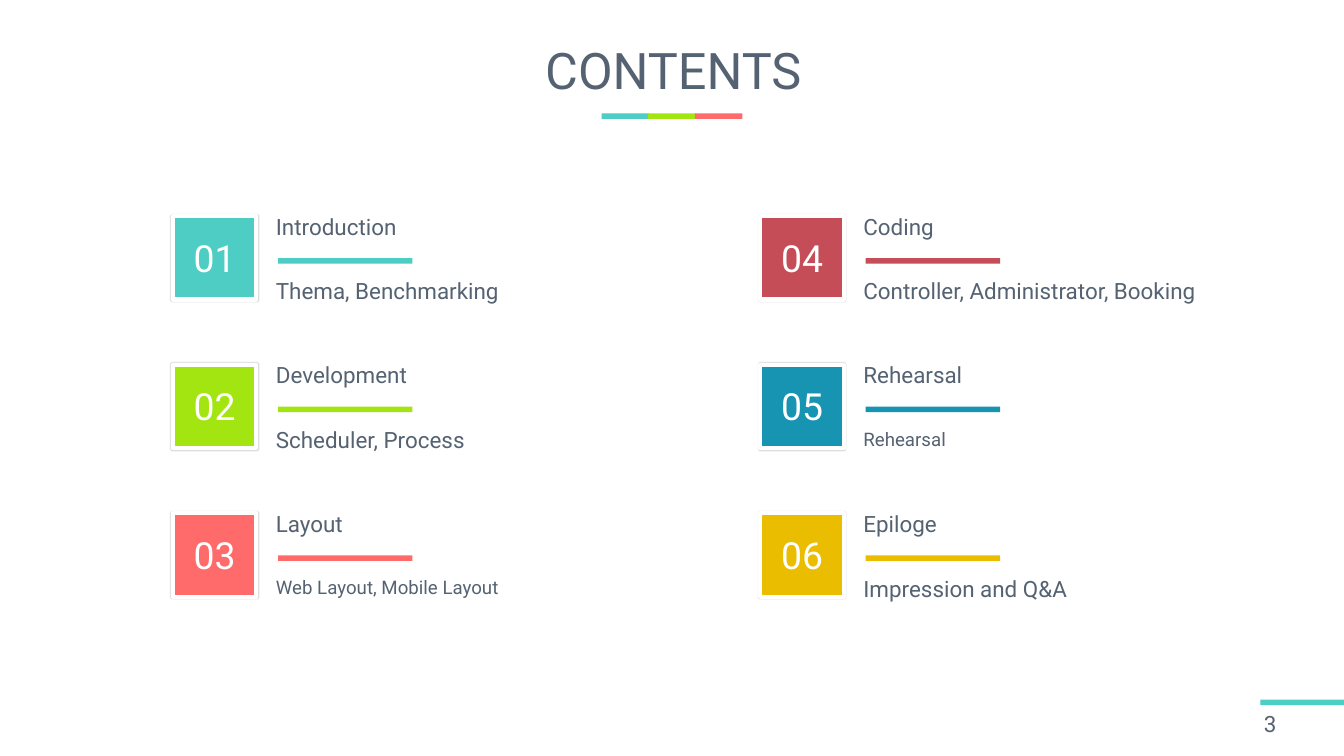
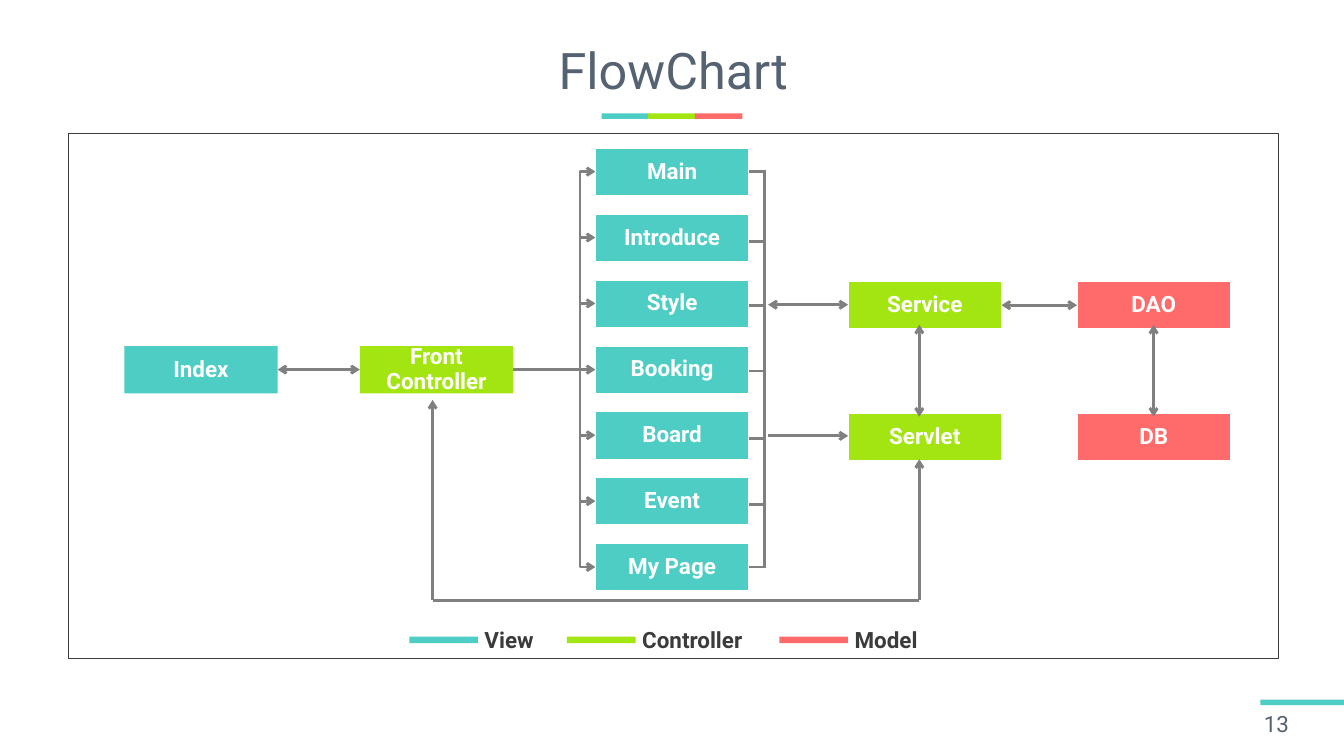
from lxml import etree
from pptx import Presentation
from pptx.dml.color import RGBColor
from pptx.enum.shapes import MSO_CONNECTOR, MSO_SHAPE
from pptx.enum.text import MSO_ANCHOR as Anchor, MSO_AUTO_SIZE as AutoSize, PP_ALIGN as Align
from pptx.oxml.ns import qn
from pptx.util import Pt

FONT = "Roboto"
TEAL = RGBColor(0x4E, 0xCD, 0xC4)
LIME = RGBColor(0xA3, 0xE5, 0x11)
CORAL = RGBColor(0xFF, 0x6B, 0x6B)
CRIMSON = RGBColor(0xC5, 0x4D, 0x57)
BLUE = RGBColor(0x16, 0x94, 0xB2)
GOLD = RGBColor(0xEA, 0xBD, 0x00)
SLATE = RGBColor(0x55, 0x62, 0x72)
CHARCOAL = RGBColor(0x3B, 0x3B, 0x3B)
GRAY = RGBColor(0x80, 0x80, 0x80)
WHITE = RGBColor(0xFF, 0xFF, 0xFF)


def add_box(page, bounds, fill=None, outline=None, outline_width=1, text="", size=24,
            color=SLATE, bold=False, align=Align.LEFT, anchor=Anchor.TOP,
            spacing=None, before=None, margin=None):
    """Add a filled rectangle, or a text box when there is no fill."""
    left, top, width, height = map(Pt, bounds)
    if fill is None:
        box = page.shapes.add_textbox(left, top, width, height)
    else:
        box = page.shapes.add_shape(MSO_SHAPE.RECTANGLE, left, top, width, height)
        box.shadow.inherit = False
        box.fill.solid()
        box.fill.fore_color.rgb = fill
        if outline is None:
            box.line.fill.background()
        else:
            box.line.color.rgb = outline
            box.line.width = Pt(outline_width)
    if text:
        frame = box.text_frame
        frame.text = text
        frame.word_wrap = True
        frame.vertical_anchor = anchor
        if margin is not None:
            frame.margin_left = frame.margin_right = Pt(margin)
            frame.margin_top = frame.margin_bottom = Pt(margin)
        para = frame.paragraphs[0]
        para.alignment = align
        para.line_spacing = spacing
        if before is not None:
            para.space_before = Pt(before)
        font = para.runs[0].font
        font.name, font.size, font.bold = FONT, Pt(size), bold
        font.color.rgb = color
    return box


def add_route(page, points, start_arrow=False, end_arrow=False):
    """Add a straight connector through two points, or an open path through more."""
    spots = [(Pt(x), Pt(y)) for x, y in points]
    if len(spots) == 2:
        route = page.shapes.add_connector(MSO_CONNECTOR.STRAIGHT, *spots[0], *spots[1])
    else:
        builder = page.shapes.build_freeform(*spots[0])
        builder.add_line_segments(spots[1:], close=False)
        route = builder.convert_to_shape()
        route.fill.background()
        route.shadow.inherit = False
    route.line.color.rgb = GRAY
    route.line.width = Pt(3)
    properties = route.element.spPr
    outline = properties.find(qn("a:ln"))
    for tag, wanted in (("a:headEnd", start_arrow), ("a:tailEnd", end_arrow)):
        if wanted:
            etree.SubElement(outline, qn(tag), type="arrow")
    if len(spots) == 2:
        etree.SubElement(properties, qn("a:effectLst"))


deck = Presentation()
deck.slide_width, deck.slide_height = Pt(1440), Pt(810)

# Title, three-colour underline and page number on every slide
pages = []
for heading, number in (("CONTENTS", "3"), ("FlowChart", "13")):
    page = deck.slides.add_slide(deck.slide_layouts[5])
    for index, color in enumerate((TEAL, LIME, CORAL)):
        add_box(page, (644.5 + 50 * index, 121.5, 51, 6), color)
    add_box(page, (1350.5, 749.5, 89.5, 6), TEAL)
    title = page.shapes.title
    title.left, title.top, title.width, title.height = Pt(39), Pt(27.5), Pt(1365), Pt(101)
    title.text_frame.text = heading
    title.text_frame.auto_size = AutoSize.NONE
    title.text_frame.vertical_anchor = Anchor.MIDDLE
    para = title.text_frame.paragraphs[0]
    para.alignment, para.line_spacing = Align.CENTER, 0.9
    span = para.runs[0]
    span.font.name, span.font.size = FONT, Pt(54)
    span.font.color.rgb = SLATE
    add_box(page, (1347, 756, 93, 38), text=number, anchor=Anchor.MIDDLE)
    pages.append(page)
contents, flowchart = pages

# Contents: six numbered sections, filled down two columns
sections = (
    ("Introduction", "Thema, Benchmarking", 24, TEAL),
    ("Development", "Scheduler, Process", 24, LIME),
    ("Layout", "Web Layout, Mobile Layout", 20, CORAL),
    ("Coding", "Controller, Administrator, Booking", 24, CRIMSON),
    ("Rehearsal", "Rehearsal", 20, BLUE),
    ("Epiloge", "Impression and Q&A", 24, GOLD),
)
for index, (name, detail, detail_size, color) in enumerate(sections):
    column, row = divmod(index, 3)
    left, top = 185 + 629.5 * column, 216 + 159.25 * row
    add_box(contents, (left + 103.5, top, 422, 59), text=name, spacing=1.3, before=12)
    add_box(contents, (left + 103.5, top + 72, 422, 45), text=detail, size=detail_size,
            spacing=1.2 if detail_size == 24 else 1.3, before=12)
    add_box(contents, (left + 113, top + 60.5, 144, 6), color)
    tile = add_box(contents, (left, top + 15.5, 89.5, 89.5), color, WHITE, 4.5)
    effects = tile.element.spPr.find(qn("a:effectLst"))
    shadow = etree.SubElement(effects, qn("a:outerShdw"), blurRad=str(Pt(1)), dist="0", dir="0")
    black = etree.SubElement(shadow, qn("a:srgbClr"), val="000000")
    etree.SubElement(black, qn("a:alpha"), val="15000")
    add_box(contents, (left + 10, top + 32, 70, 55.5), text=f"{index + 1:02}", size=40,
            color=WHITE, align=Align.CENTER)

# Flowchart: frame, then the lines that run behind the boxes
add_box(flowchart, (73.5, 142.5, 1296, 563), WHITE, CHARCOAL)
BOX_WIDTH, BOX_HEIGHT = 164.25, 50.5
VIEW_LEFT, VIEW_TOP, VIEW_PITCH = 638, 159, 70.6
MIDDLE = 396
views = ("Main", "Introduce", "Style", "Booking", "Board", "Event", "My Page")

add_route(flowchart, [(819.5, 182), (819.5, 609)])
for y in (183.5, 258.5, 327, 397.5, 469.5, 540.5, 607.5):
    add_route(flowchart, [(767, y), (820, y)])
for index in range(len(views)):
    y = VIEW_TOP + 24.9 + VIEW_PITCH * index
    if views[index] == "Booking":
        points = [(550, MIDDLE), (VIEW_LEFT, MIDDLE)]
    else:
        points = [(550, MIDDLE), (621.5, MIDDLE), (621.5, y), (VIEW_LEFT, y)]
    add_route(flowchart, points, end_arrow=True)
add_route(flowchart, [(297.5, MIDDLE), (385.5, MIDDLE)], True, True)
add_route(flowchart, [(1073, 327), (1154, 327)], True, True)

nodes = [
    ("Index", 133.25, 371, TEAL, None),
    ("Front Controller", 385.5, 371, LIME, None),
    ("Service", 908.75, 301.5, LIME, WHITE),
    ("Servlet", 908.75, 442.75, LIME, WHITE),
    ("DAO", 1154, 301.5, CORAL, WHITE),
    ("DB", 1154, 442.75, CORAL, WHITE),
]
nodes += [(view, VIEW_LEFT, VIEW_TOP + VIEW_PITCH * index, TEAL, WHITE)
          for index, view in enumerate(views)]
for name, left, top, color, outline in nodes:
    add_box(flowchart, (left, top, BOX_WIDTH, BOX_HEIGHT), color, outline, text=name,
            color=WHITE, bold=True, align=Align.CENTER, anchor=Anchor.MIDDLE,
            spacing=0.9, margin=1.5)

# Legend
for name, left, width, color in (("View", 438.5, 75.5, TEAL),
                                 ("Controller", 607.5, 138, LIME),
                                 ("Model", 835, 96, CORAL)):
    add_box(flowchart, (left, 682, 73.5, 7), color)
    add_box(flowchart, (left + 73.5, 667.5, width, 36), text=name, color=CHARCOAL, bold=True)

# Arrows in front of the boxes
for x in (1236, 985):
    add_route(flowchart, [(x, 348), (x, 446.5)], True, True)
add_route(flowchart, [(985, 492), (985, 643)], start_arrow=True)
add_route(flowchart, [(463.5, 428.5), (463.5, 643)], start_arrow=True)
add_route(flowchart, [(985, 643), (463.5, 643)])
add_route(flowchart, [(823, 326.5), (908.75, 326.5)], True, True)
add_route(flowchart, [(823, 467), (908.75, 467)], end_arrow=True)

deck.save("out.pptx")
